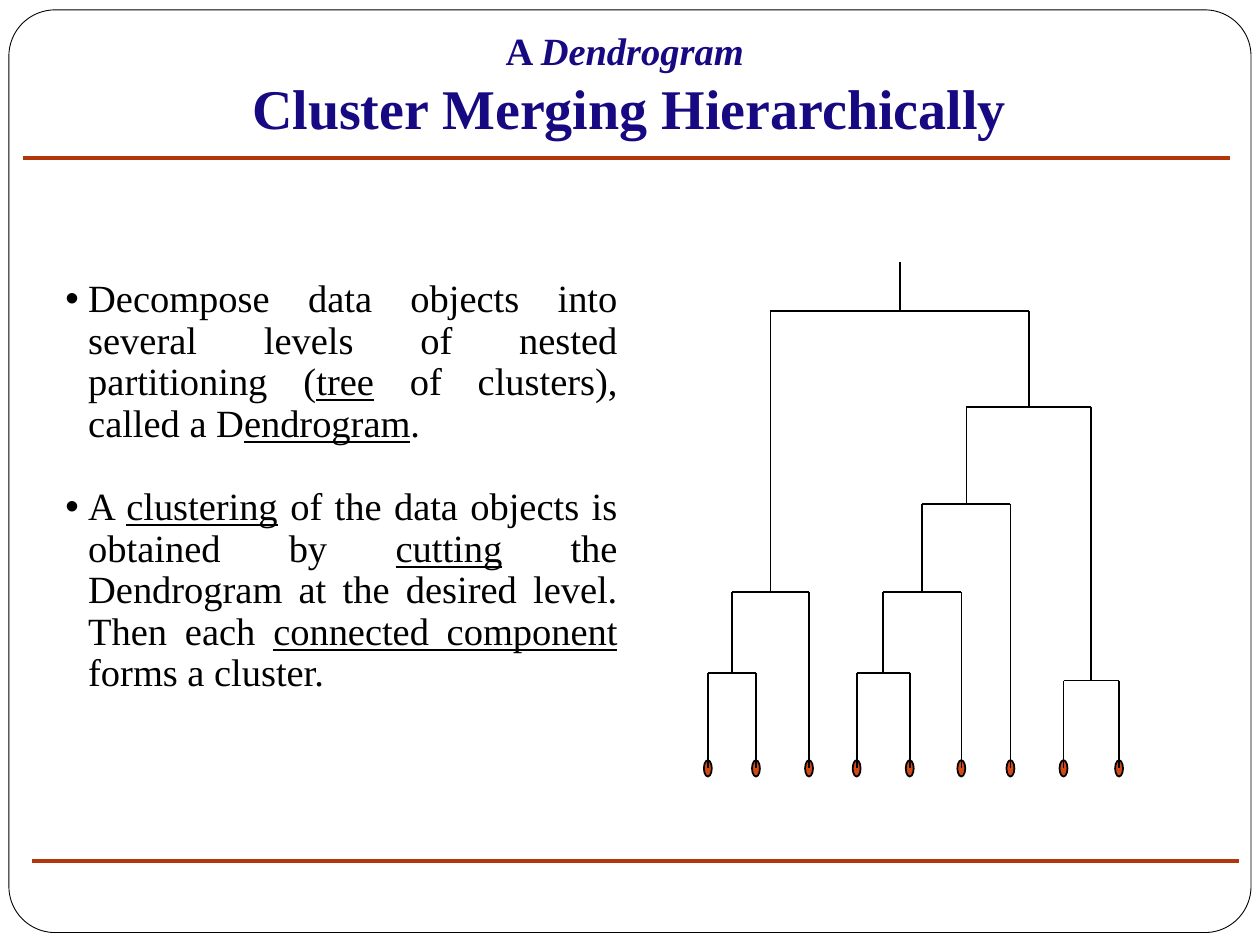
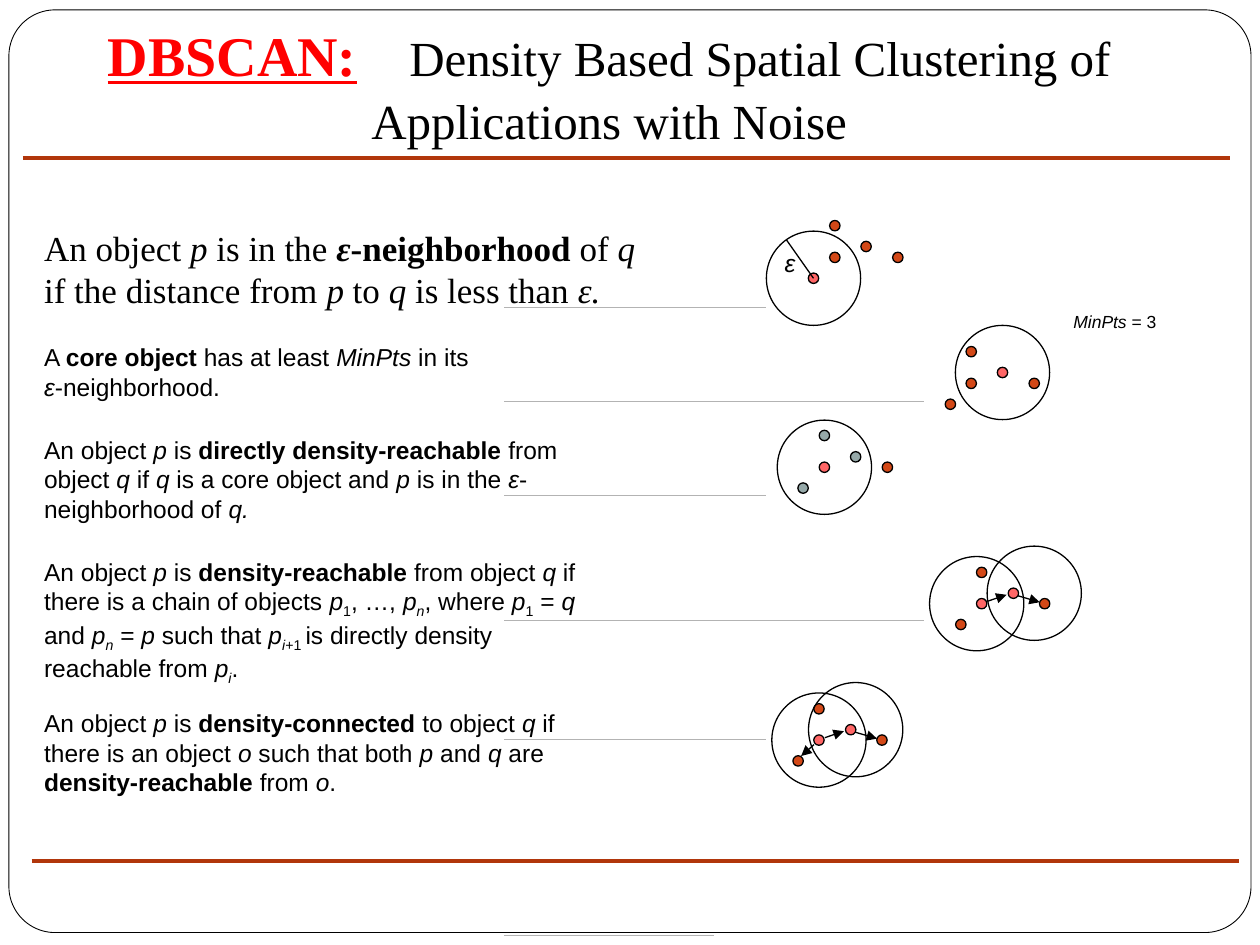
"""Build two slides on hierarchical and density-based clustering."""
from dataclasses import dataclass
from typing import Optional, Union

from lxml.etree import SubElement
from pptx import Presentation
from pptx.dml.color import RGBColor
from pptx.enum.shapes import MSO_CONNECTOR, MSO_SHAPE
from pptx.enum.text import PP_ALIGN
from pptx.oxml.ns import qn
from pptx.shapes.autoshape import Shape
from pptx.slide import Slide
from pptx.util import Cm, Pt

SERIF, SANS = "Times New Roman", "Arial"
BLACK, WHITE, NAVY, RED = "000000", "FFFFFF", "170981", "FF0000"
RULE, GUIDE = "B1360B", "B3B3B3"
ORANGE, PINK, GREY = "D34817", "FF6666", "96A9A9"
DOT, CIRCLE = 0.21, 1.9
MARKS = {"*": "bold", "/": "italic", "_": "underline", "~": "subscript"}
Point = tuple[float, float]
Segment = tuple[Point, Point]


@dataclass
class Merge:
    """Two branches joined at a height; a branch is a leaf position or a merge."""
    height: float
    left: Union["Merge", float]
    right: Union["Merge", float]


@dataclass
class Neighborhood:
    """A core point with circles, points and arrows placed relative to it."""
    core: Point
    orange: list[Point]
    pink: tuple[Point, ...] = ((0, 0),)
    grey: tuple[Point, ...] = ()
    circles: tuple[Point, ...] = ((0, 0),)
    arrows: tuple[Segment, ...] = ()


@dataclass
class Definition:
    """One block of explanatory text."""
    top: float
    width: float
    height: float
    paragraphs: list[str]
    font: str = SANS
    size: int = 14


LEAVES = [14.27, 15.24, 16.31, 17.27, 18.34, 19.38, 20.37, 21.44, 22.56]
LEAF_LEVEL, ROOT_TOP = 15.49, 5.28
DENDROGRAM = Merge(
    6.27,
    Merge(11.94, Merge(13.56, LEAVES[0], LEAVES[1]), LEAVES[2]),
    Merge(
        8.2,
        Merge(10.16, Merge(11.94, Merge(13.56, LEAVES[3], LEAVES[4]), LEAVES[5]), LEAVES[6]),
        Merge(13.72, LEAVES[7], LEAVES[8]),
    ),
)
DENDROGRAM_TEXT = [
    "Decompose data objects into several levels of nested partitioning "
    "(_tree_ of clusters), called a D_endrogram_.",
    "A _clustering_ of the data objects is obtained by _cutting_ the Dendrogram at the "
    "desired level. Then each _connected component_ forms a cluster.",
]

CHAIN_ORANGE = [(-0.42, 0.42), (0, -0.63), (1.27, 0)]
CHAIN_PINK = ((0, 0), (0.64, -0.21))
CHAIN_ARROWS = (((0.12, -0.05), (0.5, -0.18)), ((0.73, -0.16), (1.17, -0.03)))
BACK_ARROW = ((-0.1, 0.09), (-0.36, 0.32))
NEIGHBORHOODS = [
    Neighborhood((16.4, 5.61), [(0.43, -0.42), (1.06, -0.64), (0.43, -1.06), (1.7, -0.42)]),
    Neighborhood((20.21, 7.51), [(-0.63, 0.22), (-1.05, 0.64), (-0.63, -0.42), (0.64, 0.22)]),
    Neighborhood((16.62, 9.42), [(1.27, 0)], grey=((-0.43, 0.42), (0.63, -0.21), (0, -0.64))),
    Neighborhood((19.79, 12.17), CHAIN_ORANGE, CHAIN_PINK,
                 circles=((-0.1, 0), (1.06, -0.21)), arrows=CHAIN_ARROWS),
    Neighborhood((16.51, 14.92), CHAIN_ORANGE, CHAIN_PINK,
                 circles=((0, 0), (0.74, -0.21)), arrows=CHAIN_ARROWS + (BACK_ARROW,)),
]
DEFINITIONS = [
    Definition(4.45, 12.9, 1.96, [
        "An object /p/ is in the */ε/-neighborhood* of /q/ if the distance from /p/ to "
        "/q /is less than /ε./"], SERIF, 20),
    Definition(6.78, 11.23, 1.45, [
        "A *core object* has at least /MinPts/ in its", "/ε/-neighborhood."]),
    Definition(8.64, 11.43, 2.03, [
        "An object /p/ is *directly density-reachable* from object /q/ if /q/ is a core "
        "object and /p/ is in the /ε/-neighborhood of /q./"]),
    Definition(11.1, 11.23, 2.62, [
        "An object /p/ is *density-reachable* from object /q/ if there is a chain of objects "
        "/p/~1~, …, /p~n~/, where /p/~1~ = /q/ and /p~n~/ = /p/ such that "
        "/p/~/i/+1 ~is directly density reachable from /p~i~/."]),
    Definition(14.15, 11.23, 2.03, [
        "An object /p/ is *density-connected* to object /q/ if there is an object /o/ such "
        "that both /p/ and /q/ are *density-reachable* from /o/."]),
]
GUIDES = [(8.1, 18.62), (12.5, 18.62), (6.2, 15.44), (9.98, 15.44), (14.91, 15.44), (18.85, 14.4)]


def color(value: str) -> RGBColor:
    """Turn a hex string into a colour."""
    return RGBColor.from_string(value)


def split_marks(text: str) -> list[tuple[str, set[str]]]:
    """Split marked text into pieces with their active styles."""
    pieces, active, piece = [], set(), ""
    for character in text:
        if character not in MARKS:
            piece += character
            continue
        if piece:
            pieces.append((piece, set(active)))
        active ^= {MARKS[character]}
        piece = ""
    return pieces + [(piece, active)] if piece else pieces


def add_text(paragraph, text: str, *, size: int, font: str = SERIF, fill: str = BLACK,
             bold: bool = False, tracking: int = 0) -> None:
    """Append marked text to a paragraph."""
    for piece, styles in split_marks(text):
        run = paragraph.add_run()
        run.text = piece
        run.font.name, run.font.size = font, Pt(size)
        run.font.color.rgb = color(fill)
        run.font.bold = bold or "bold" in styles
        run.font.italic = "italic" in styles
        run.font.underline = "underline" in styles
        properties = run.font._element
        if "subscript" in styles:
            properties.set("baseline", "-25000")
        if tracking:
            properties.set("spc", str(tracking * 100))


def add_box(slide: Slide, left: float, top: float, width: float, height: float,
            count: int = 1, align: PP_ALIGN = PP_ALIGN.LEFT, wrap: bool = True) -> list:
    """Add a text box and return its empty paragraphs."""
    frame = slide.shapes.add_textbox(Cm(left), Cm(top), Cm(width), Cm(height)).text_frame
    frame.word_wrap = wrap
    for _ in range(count - 1):
        frame.add_paragraph()
    for paragraph in frame.paragraphs:
        paragraph.alignment = align
    return list(frame.paragraphs)


def add_bullet(paragraph) -> None:
    """Give a paragraph a hanging round bullet."""
    properties = paragraph._p.get_or_add_pPr()
    properties.set("marL", str(Cm(0.46)))
    properties.set("indent", str(-Cm(0.46)))
    SubElement(properties, qn("a:buFont"), typeface=SANS)
    SubElement(properties, qn("a:buChar"), char="•")


def add_shape(slide: Slide, kind: MSO_SHAPE, center: Point, width: float, height: float,
              fill: Optional[str] = None, weight: float = 0.75) -> Shape:
    """Add a black-outlined shape around a center."""
    shape = slide.shapes.add_shape(kind, Cm(center[0] - width / 2), Cm(center[1] - height / 2),
                                   Cm(width), Cm(height))
    shape.shadow.inherit = False
    if fill:
        shape.fill.solid()
        shape.fill.fore_color.rgb = color(fill)
    else:
        shape.fill.background()
    shape.line.color.rgb = color(BLACK)
    shape.line.width = Pt(weight)
    return shape


def add_line(slide: Slide, start: Point, end: Point, stroke: str = BLACK,
             weight: float = 0.75, arrow: bool = False) -> None:
    """Add a straight line, with an arrowhead at its end if asked."""
    connector = slide.shapes.add_connector(
        MSO_CONNECTOR.STRAIGHT, *(Cm(value) for value in start + end))
    connector.line.color.rgb = color(stroke)
    connector.line.width = Pt(weight)
    if arrow:
        SubElement(connector.line._get_or_add_ln(), qn("a:tailEnd"), type="triangle")
    SubElement(connector._element.spPr, qn("a:effectLst"))


def add_framed_slide(presentation) -> Slide:
    """Add a blank slide with the shared frame and rules."""
    slide = presentation.slides.add_slide(presentation.slide_layouts[6])
    frame = add_shape(slide, MSO_SHAPE.ROUNDED_RECTANGLE, (12.7, 9.5), 25.04, 18.6, WHITE, 0.5)
    frame.adjustments[0] = 0.05
    for left, level in ((0.46, 3.18), (0.64, 17.35)):
        add_line(slide, (left, level), (left + 24.33, level), RULE, 2.25)
    return slide


def draw_branch(slide: Slide, branch: Union[Merge, float]) -> Point:
    """Draw a branch and return the point where its stem starts."""
    if not isinstance(branch, Merge):
        return branch, LEAF_LEVEL
    feet = [draw_branch(slide, child) for child in (branch.left, branch.right)]
    corners = [(x, branch.height) for x, _ in feet]
    for corner, foot in zip(corners, feet):
        add_line(slide, corner, foot, weight=1)
    add_line(slide, *corners, weight=1)
    return (feet[0][0] + feet[1][0]) / 2, branch.height


def draw_neighborhood(slide: Slide, neighborhood: Neighborhood) -> None:
    """Draw the points, arrows and circles of a neighborhood."""
    def place(offset: Point) -> Point:
        """Move an offset to its place on the slide."""
        return neighborhood.core[0] + offset[0], neighborhood.core[1] + offset[1]

    for fill, offsets in ((PINK, neighborhood.pink), (ORANGE, neighborhood.orange),
                          (GREY, neighborhood.grey)):
        for offset in offsets:
            add_shape(slide, MSO_SHAPE.OVAL, place(offset), DOT, DOT, fill)
    for start, end in neighborhood.arrows:
        add_line(slide, place(start), place(end), arrow=True)
    for offset in neighborhood.circles:
        add_shape(slide, MSO_SHAPE.OVAL, place(offset), CIRCLE, CIRCLE)


def build_dendrogram_slide(presentation) -> None:
    """Build the slide on merging clusters."""
    slide = add_framed_slide(presentation)
    overline, title = add_box(slide, 3.38, 0.43, 18.62, 2.57, 2, PP_ALIGN.CENTER)
    add_text(overline, "A /Dendrogram /", size=22, fill=NAVY, bold=True)
    add_text(title, "Cluster Merging Hierarchically", size=32, fill=NAVY, bold=True)

    for leaf in LEAVES:
        add_shape(slide, MSO_SHAPE.OVAL, (leaf, LEAF_LEVEL), 0.16, 0.33, ORANGE, 1)
    root = draw_branch(slide, DENDROGRAM)
    add_line(slide, (root[0], ROOT_TOP), root, weight=1)

    paragraphs = add_box(slide, 1.07, 5.51, 11.63, 7.9, len(DENDROGRAM_TEXT), PP_ALIGN.JUSTIFY)
    for index, (paragraph, text) in enumerate(zip(paragraphs, DENDROGRAM_TEXT)):
        add_bullet(paragraph)
        paragraph.line_spacing = 0.9
        if index:
            paragraph.space_before = Pt(23.8)
        add_text(paragraph, text, size=22)


def build_dbscan_slide(presentation) -> None:
    """Build the slide on density-based clustering."""
    slide = add_framed_slide(presentation)
    title, = add_box(slide, 0, 0, 24.56, 3.18, align=PP_ALIGN.CENTER)
    add_text(title, "_DBSCAN:_", size=32, fill=RED, bold=True)
    add_text(title, " ", size=40, fill=RED, bold=True, tracking=20)
    add_text(title, "Density Based Spatial Clustering of Applications with Noise", size=28)

    for neighborhood in NEIGHBORHOODS:
        draw_neighborhood(slide, neighborhood)
    add_line(slide, NEIGHBORHOODS[0].core, (15.85, 4.83))
    radius_label, = add_box(slide, 15.57, 4.88, 0.74, 0.84, wrap=False)
    add_text(radius_label, "/ε/", size=14, font=SANS)
    minimum_label, = add_box(slide, 21.39, 6.15, 2.29, 0.69, wrap=False)
    add_text(minimum_label, "/MinPts/ = 3", size=10, font=SANS)

    for definition in DEFINITIONS:
        paragraphs = add_box(slide, 0.64, definition.top, definition.width, definition.height,
                             len(definition.paragraphs))
        for paragraph, text in zip(paragraphs, definition.paragraphs):
            add_text(paragraph, text, size=definition.size, font=definition.font)
    for level, right in GUIDES:
        add_line(slide, (10.16, level), (right, level), GUIDE, 0.5)


def main() -> None:
    """Build and save the presentation."""
    presentation = Presentation()
    presentation.slide_width, presentation.slide_height = Cm(25.4), Cm(19.05)
    build_dendrogram_slide(presentation)
    build_dbscan_slide(presentation)
    presentation.save("out.pptx")


if __name__ == "__main__":
    main()
